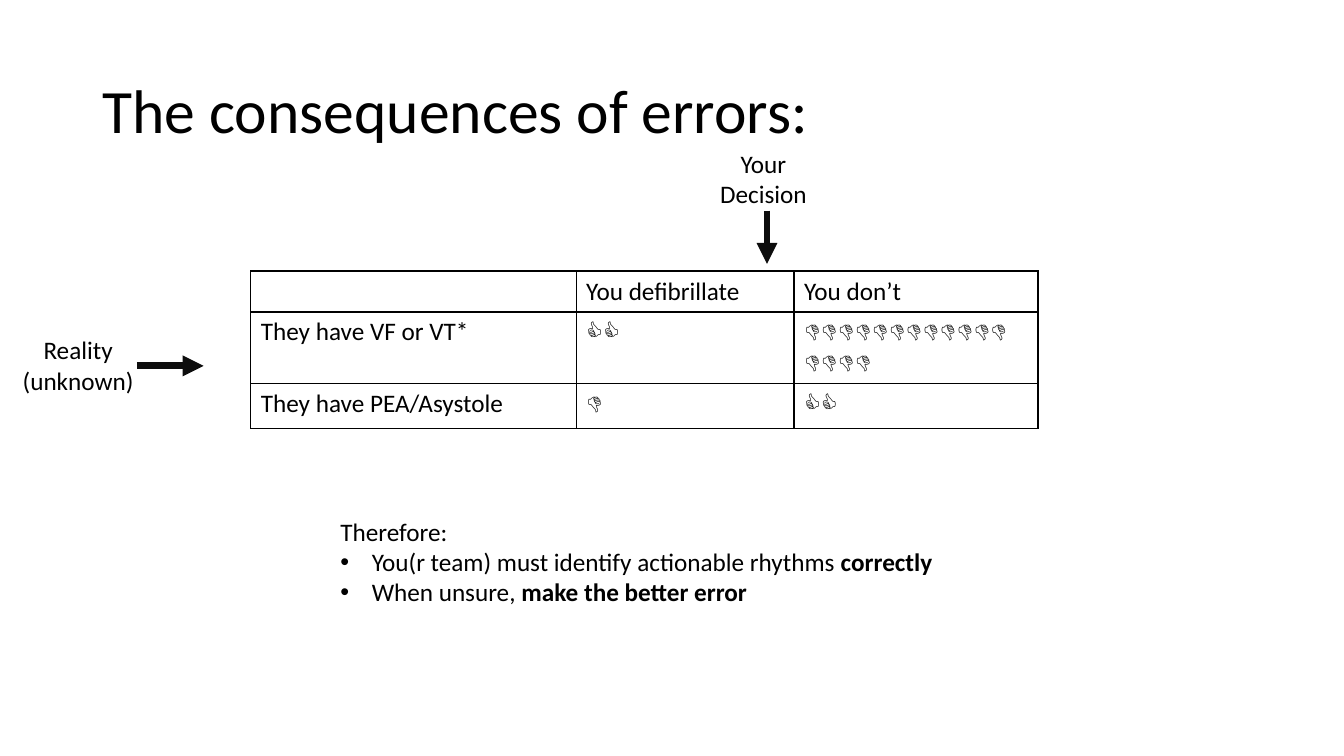
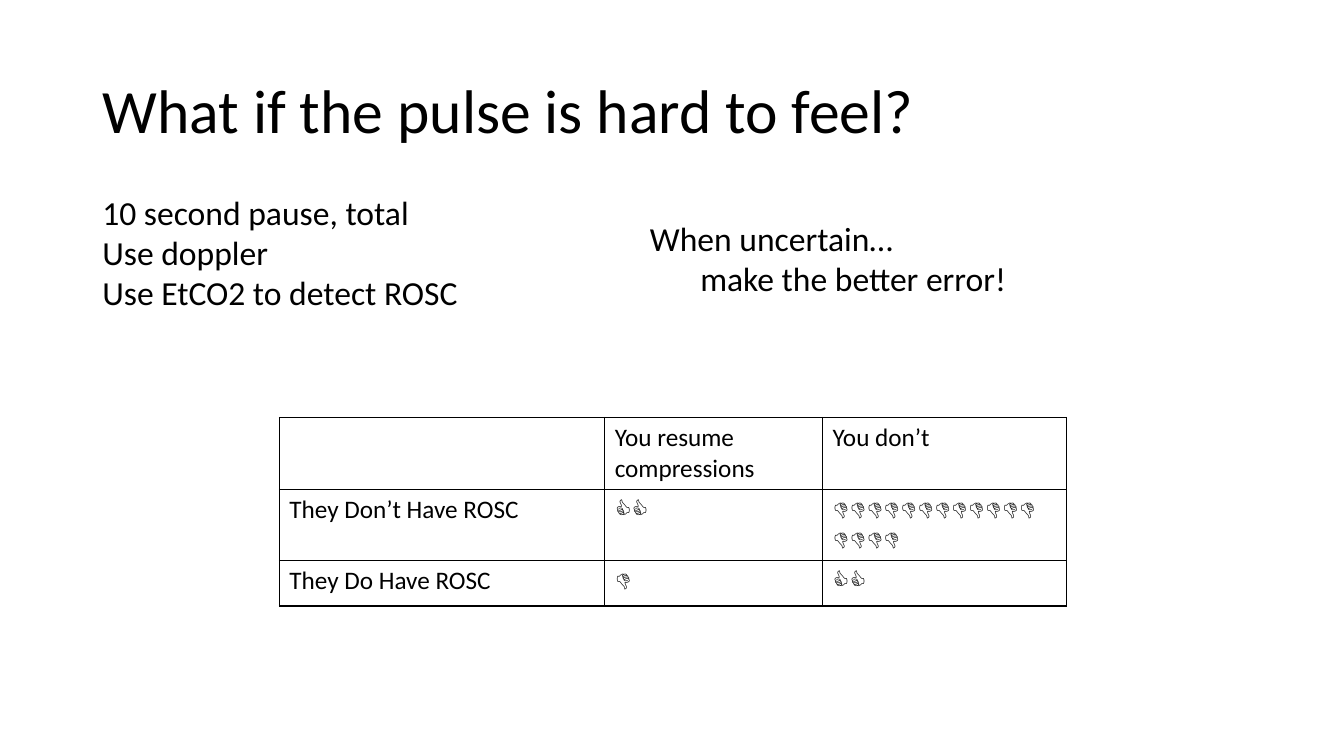
from lxml import etree
from pptx import Presentation
from pptx import util as u
from pptx.dml import color
from pptx.enum import shapes, text
from pptx.oxml import ns

BLACK, ARROW = "000000", "0D0D0D"
FONT = {"name": "Calibri", "bold": False}
BULLET = {"marL": u.Cm(0.79), "indent": u.Cm(-0.79)}
INDENT = {"marL": u.Cm(1.27), "indent": 0}
COLS = (8.2, 5.49, 6.15)
ROWS = (0.66, 0.66, 1.14)
GOOD, BAD, WORST = "👍" * 2, "👎", "👎" * 16


def rgb(value):
    return color.RGBColor.from_string(value)


def write(tf, paragraphs, size, align=text.PP_ALIGN.LEFT, spacing=None):
    for i, (margins, *runs) in enumerate(paragraphs):
        p = tf.paragraphs[0] if i == 0 else tf.add_paragraph()
        for key, value in {"alignment": align, "line_spacing": spacing}.items():
            setattr(p, key, value)
        pPr = p._p.get_or_add_pPr()
        for key, value in margins.items():
            pPr.set(key, str(int(value)))
        if margins is BULLET:
            etree.SubElement(pPr, ns.qn("a:buFont"), typeface="Arial")
            etree.SubElement(pPr, ns.qn("a:buChar"), char="•")
        for j, words in enumerate(runs):
            r = p.add_run()
            r.text = words
            for key, value in {**FONT, "size": u.Pt(size), "bold": j == 1}.items():
                setattr(r.font, key, value)
            r.font.color.rgb = rgb(BLACK)


slides = [
    {
        "title": "The consequences of errors:",
        "width": 29.21,
        "table": (6.32, 6.83),
        "cells": [
            ["", "You defibrillate", "You don’t"],
            ["They have VF or VT*", GOOD, WORST],
            ["They have PEA/Asystole", BAD, GOOD],
        ],
        "boxes": [
            ((8.33, 12.88, 15.75, 2.57), 18, text.PP_ALIGN.LEFT, [
                ({}, "Therefore:"),
                (BULLET, "You(r team) must identify actionable rhythms ", "correctly"),
                (BULLET, "When unsure, ", "make the better error"),
            ]),
            ((0, 8.31, 3.94, 1.8), 18, text.PP_ALIGN.CENTER,
             [({}, "Reality"), ({}, "(unknown)")]),
            ((17.27, 3.61, 3.94, 1.8), 18, text.PP_ALIGN.CENTER,
             [({}, "Your Decision")]),
        ],
        "arrows": [(3.45, 9.22, 5.13, 9.22), (19.33, 5.31, 19.33, 6.65)],
    },
    {
        "title": "What if the pulse is hard to feel?",
        "width": 22.28,
        "table": (7.04, 10.52),
        "cells": [
            ["", "You resume compressions", "You don’t"],
            ["They Don’t Have ROSC", GOOD, WORST],
            ["They Do Have ROSC", BAD, GOOD],
        ],
        "boxes": [
            ((2.33, 4.7, 23.52, 3.33), 24, text.PP_ALIGN.LEFT, [
                ({}, "10 second pause, total"),
                ({}, "Use doppler"),
                ({}, "Use EtCO2 to detect ROSC"),
            ]),
            ((16.13, 5.36, 16.94, 2.31), 24, text.PP_ALIGN.LEFT,
             [({}, "When uncertain…"), (INDENT, "make the better error!")]),
        ],
        "arrows": [],
    },
]

prs = Presentation()
prs.slide_width, prs.slide_height = u.Cm(33.87), u.Cm(19.05)

for data in slides:
    s = prs.slides.add_slide(prs.slide_layouts[5])
    title = s.shapes.title
    place = {"left": 2.33, "top": 1.02, "width": data["width"], "height": 3.68}
    for key, value in place.items():
        setattr(title, key, u.Cm(value))
    title.text_frame.vertical_anchor = text.MSO_ANCHOR.MIDDLE
    write(title.text_frame, [({}, data["title"])], 44, spacing=0.9)

    size = (sum(COLS), sum(ROWS))
    table = s.shapes.add_table(3, 3, *map(u.Cm, data["table"] + size)).table
    table.first_row = table.horz_banding = False
    for column, width in zip(table.columns, COLS):
        column.width = u.Cm(width)
    for row, height, words in zip(table.rows, ROWS, data["cells"]):
        row.height = u.Cm(height)
        for cell, word in zip(row.cells, words):
            if word:
                write(cell.text_frame, [({}, word)], 18)
            tcPr = cell._tc.get_or_add_tcPr()
            for side in ("lnL", "lnR", "lnT", "lnB"):
                ln = etree.SubElement(tcPr, ns.qn("a:" + side), w=str(u.Pt(1)))
                fill = etree.SubElement(ln, ns.qn("a:solidFill"))
                etree.SubElement(fill, ns.qn("a:srgbClr"), val=BLACK)
            cell.fill.background()

    for box, size, align, paragraphs in data["boxes"]:
        tf = s.shapes.add_textbox(*map(u.Cm, box)).text_frame
        tf.word_wrap = True
        tf.auto_size = text.MSO_AUTO_SIZE.SHAPE_TO_FIT_TEXT
        write(tf, paragraphs, size, align)

    for ends in data["arrows"]:
        arrow = s.shapes.add_connector(shapes.MSO_CONNECTOR.STRAIGHT, *map(u.Cm, ends))
        arrow.line.width = u.Pt(5)
        arrow.line.color.rgb = rgb(ARROW)
        etree.SubElement(arrow.line._get_or_add_ln(), ns.qn("a:tailEnd"), type="triangle")
        etree.SubElement(arrow._element.spPr, ns.qn("a:effectLst"))

prs.save("out.pptx")
